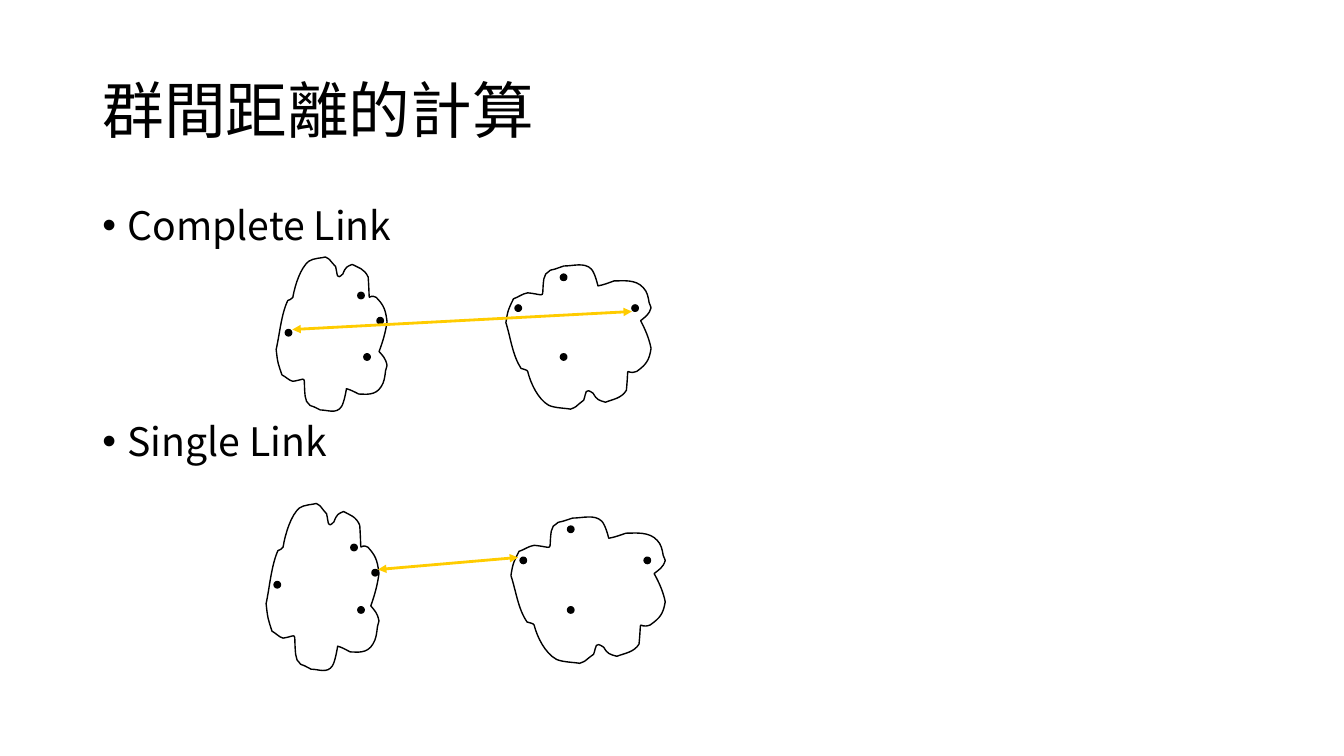
from lxml.etree import SubElement
from pptx import Presentation
from pptx.dml.color import RGBColor
from pptx.enum.shapes import MSO_CONNECTOR, MSO_SHAPE
from pptx.enum.text import MSO_ANCHOR, MSO_AUTO_SIZE, PP_ALIGN
from pptx.oxml.ns import qn
from pptx.util import Pt

BLACK = RGBColor(0x00, 0x00, 0x00)
YELLOW = RGBColor(0xFF, 0xCC, 0x00)
FONT = "Noto Sans CJK SC"
DOT = 4.6

OUTLINE_SIZE = (153, 148)
OUTLINE = [
    (16, 107),
    (7, 94), (5, 76), (0, 61),
    (2, 48), (3, 47), (8, 37),
    (14, 35), (17, 32), (23, 31),
    (44, 33), (37, 38), (40, 17),
    (41, 15), (41, 14), (42, 12),
    (49, 7), (44, 9), (52, 7),
    (55, 6), (61, 4), (61, 4),
    (71, 4), (83, 0), (90, 7),
    (94, 11), (97, 24), (97, 24),
    (103, 23), (108, 21), (114, 19),
    (123, 19), (137, 17), (145, 26),
    (149, 30), (150, 35), (151, 41),
    (152, 43), (153, 46), (153, 46),
    (151, 53), (147, 55), (142, 59),
    (147, 68), (151, 77), (153, 87),
    (151, 99), (148, 103), (138, 110),
    (125, 115), (130, 99), (127, 129),
    (122, 137), (113, 138), (105, 141),
    (98, 139), (96, 139), (92, 132),
    (83, 126), (85, 131), (82, 139),
    (71, 147), (76, 145), (68, 148),
    (64, 147), (51, 147), (45, 144),
    (34, 138), (26, 122), (23, 110),
    (22, 108), (18, 108), (16, 107),
]

CLUSTERS = [
    ((197.3, 183.6, 79.2, 112.3), True,
     [(259.9, 252.7), (255.6, 208.8), (203.8, 235.4), (269.3, 226.8)]),
    ((361.4, 187.2, 103.7, 105.1), False,
     [(451.4, 217.8), (367.9, 217.8), (400.3, 252.7), (400.3, 195.8)]),
    ((190.1, 359.6, 80.6, 121.7), True,
     [(255.6, 433.4), (250.6, 388.8), (195.8, 415.4), (265.7, 406.8)]),
    ((365, 367.2, 110.2, 106.6), False,
     [(460.1, 398), (371.5, 398), (405.4, 433.4), (405.4, 375.8)]),
]

LINKS = [
    ((208.8, 235.4), (451.4, 222.5)),
    ((270, 406.8), (370.1, 398.2)),
]


def write(p, text, size=28, before=0, color=BLACK):
    p.alignment = PP_ALIGN.LEFT
    p.line_spacing = 0.9
    p.space_before = Pt(before)
    r = p.add_run()
    r.text = text
    r.font.name = FONT
    r.font.size = Pt(size)
    r.font.color.rgb = color
    SubElement(r.font._element, qn("a:ea")).set("typeface", FONT)


def bullet(p):
    pPr = p._p.get_or_add_pPr()
    pPr.set("marL", str(Pt(18)))
    pPr.set("indent", str(-Pt(18)))
    SubElement(pPr, qn("a:buFont")).set("typeface", "Arial")
    SubElement(pPr, qn("a:buChar")).set("char", "•")


def place(sp, left, top, width, height, anchor):
    sp.left, sp.top, sp.width, sp.height = Pt(left), Pt(top), Pt(width), Pt(height)
    tf = sp.text_frame
    tf.word_wrap = True
    tf.auto_size = MSO_AUTO_SIZE.NONE
    tf.vertical_anchor = anchor
    return tf


def curve(sp):
    path = sp._element.find(".//" + qn("a:path"))
    steps = path.findall(qn("a:lnTo"))
    for i in range(0, len(steps), 3):
        cubic = SubElement(path, qn("a:cubicBezTo"))
        for step in steps[i:i + 3]:
            cubic.append(step[0])
            path.remove(step)
    SubElement(path, qn("a:close"))


def add_outline(slide, box, flipped):
    left, top, width, height = box
    w, h = OUTLINE_SIZE
    points = [(Pt(left + x * width / w),
               Pt(top + (h - y if flipped else y) * height / h))
              for x, y in OUTLINE]
    builder = slide.shapes.build_freeform(*points[0])
    builder.add_line_segments(points[1:], close=False)
    sp = builder.convert_to_shape()
    curve(sp)
    sp.fill.background()
    sp.line.color.rgb = BLACK
    sp.line.width = Pt(1)
    sp.shadow.inherit = False


def add_dot(slide, x, y):
    sp = slide.shapes.add_shape(MSO_SHAPE.OVAL, Pt(x), Pt(y), Pt(DOT), Pt(DOT))
    sp.fill.solid()
    sp.fill.fore_color.rgb = BLACK
    sp.line.color.rgb = BLACK
    sp.line.width = Pt(1)
    sp.shadow.inherit = False


def add_link(slide, start, end):
    ends = [Pt(v) for v in start + end]
    cxn = slide.shapes.add_connector(MSO_CONNECTOR.STRAIGHT, *ends)
    cxn.line.color.rgb = YELLOW
    cxn.line.width = Pt(2)
    ln = cxn.line._get_or_add_ln()
    for tag in ("a:headEnd", "a:tailEnd"):
        SubElement(ln, qn(tag)).set("type", "triangle")
    SubElement(cxn._element.spPr, qn("a:effectLst"))


def main():
    prs = Presentation()
    prs.slide_width, prs.slide_height = Pt(960), Pt(540)
    slide = prs.slides.add_slide(prs.slide_layouts[1])

    tf = place(slide.shapes.title, 66, 28.8, 828, 104.4, MSO_ANCHOR.MIDDLE)
    write(tf.paragraphs[0], "群間距離的計算", size=44)

    tf = place(slide.placeholders[1], 66, 144, 828, 342.7, MSO_ANCHOR.TOP)
    for p, text, before in ((tf.paragraphs[0], "Complete Link", 10),
                            (tf.add_paragraph(), "Single Link", 124)):
        write(p, text, before=before)
        bullet(p)

    for box, flipped, dots in CLUSTERS:
        add_outline(slide, box, flipped)
        for x, y in dots:
            add_dot(slide, x, y)
    for start, end in LINKS:
        add_link(slide, start, end)

    prs.save("out.pptx")


if __name__ == "__main__":
    main()
